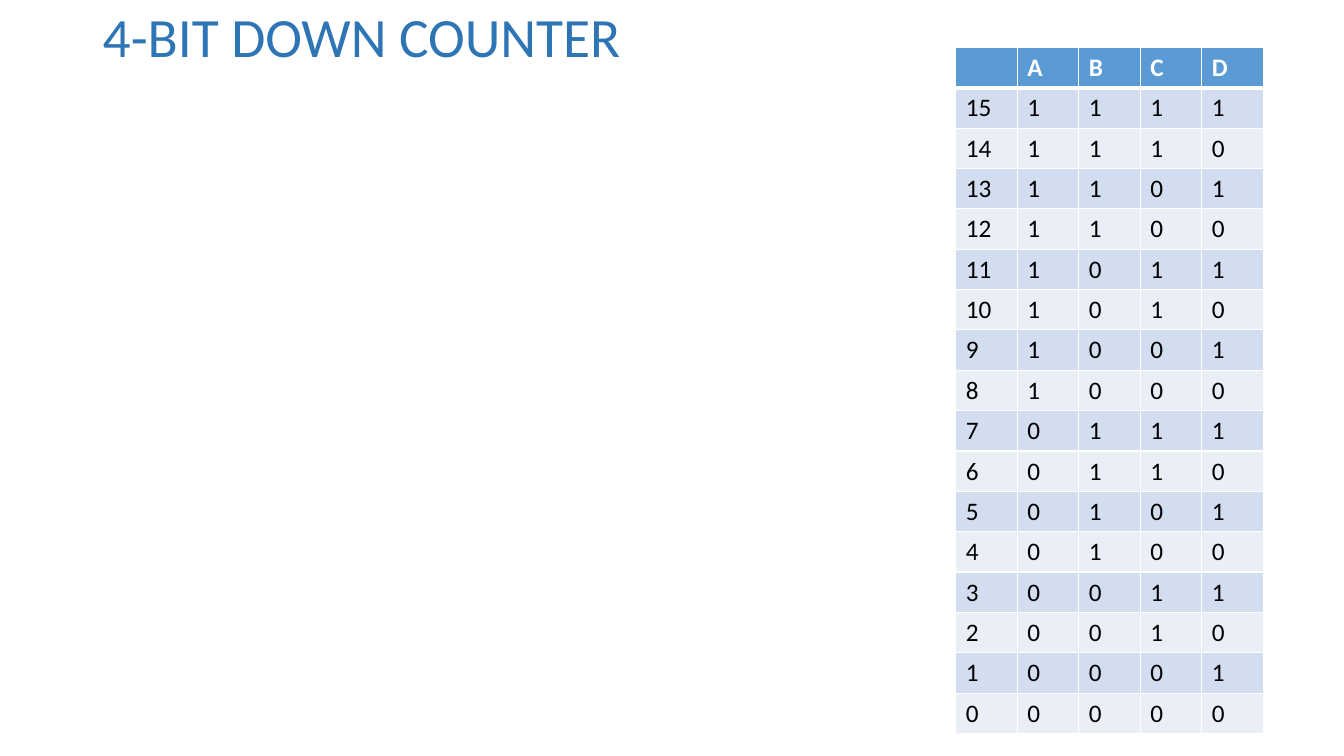
from lxml.etree import SubElement
from pptx import Presentation
from pptx.dml.color import RGBColor
from pptx.enum.text import MSO_ANCHOR
from pptx.oxml.ns import qn
from pptx.util import Inches, Pt

WHITE = RGBColor(0xFF, 0xFF, 0xFF)
BLACK = RGBColor(0x00, 0x00, 0x00)
TITLE_BLUE = RGBColor(0x2E, 0x75, 0xB6)
HEADER_BLUE = RGBColor(0x5B, 0x9B, 0xD5)
ODD_BAND = RGBColor(0xD2, 0xDE, 0xEF)
EVEN_BAND = RGBColor(0xEA, 0xEF, 0xF7)

BITS = "ABCD"
HIGHEST_COUNT = 2 ** len(BITS) - 1
COLUMN_WIDTH = 0.61
ROW_HEIGHT = 0.4


def write_text(frame, text, *, size, color, bold=False, line_spacing=None):
    paragraph = frame.paragraphs[0]
    paragraph.line_spacing = line_spacing
    paragraph.font.size = Pt(size)
    if text:
        font = paragraph.add_run().font
        paragraph.runs[0].text = text
        font.name = "Calibri"
        font.size = Pt(size)
        font.bold = bold
        font.color.rgb = color


def add_title(slide, text):
    title = slide.shapes.add_textbox(Inches(0.92), Inches(0.1), Inches(10.08), Inches(0.58))
    frame = title.text_frame
    frame.word_wrap = True
    frame.vertical_anchor = MSO_ANCHOR.MIDDLE
    write_text(frame, text, size=39.6, color=TITLE_BLUE, line_spacing=0.9)


def set_borders(cell, top=1, bottom=1):
    properties = cell._tc.get_or_add_tcPr()
    for side, width in (("L", 1), ("R", 1), ("T", top), ("B", bottom)):
        border = SubElement(properties, qn(f"a:ln{side}"), w=str(Pt(width)))
        fill = SubElement(border, qn("a:solidFill"))
        SubElement(fill, qn("a:srgbClr"), val=str(WHITE))


def fill_row(cells, values, fill, color, *, bold=False, top=1, bottom=1):
    for cell, value in zip(cells, values):
        set_borders(cell, top, bottom)
        cell.fill.solid()
        cell.fill.fore_color.rgb = fill
        write_text(cell.text_frame, value, size=18, color=color, bold=bold)


def add_count_table(slide):
    row_count = HIGHEST_COUNT + 2
    column_count = len(BITS) + 1
    table = slide.shapes.add_table(
        row_count, column_count, Inches(9.48), Inches(0.47),
        Inches(COLUMN_WIDTH * column_count), Inches(ROW_HEIGHT * row_count),
    ).table
    for column in table.columns:
        column.width = Inches(COLUMN_WIDTH)
    for row in table.rows:
        row.height = Inches(ROW_HEIGHT)

    fill_row(table.rows[0].cells, ["", *BITS], HEADER_BLUE, WHITE, bold=True, bottom=3)
    for index in range(1, row_count):
        count = HIGHEST_COUNT + 1 - index
        band = ODD_BAND if count % 2 else EVEN_BAND
        values = [str(count), *f"{count:0{len(BITS)}b}"]
        fill_row(table.rows[index].cells, values, band, BLACK, top=3 if index == 1 else 1)


def main():
    presentation = Presentation()
    presentation.slide_width = Inches(13.33)
    presentation.slide_height = Inches(7.5)
    slide = presentation.slides.add_slide(presentation.slide_layouts[6])
    add_title(slide, "4-BIT DOWN COUNTER")
    add_count_table(slide)
    presentation.save("out.pptx")


if __name__ == "__main__":
    main()
